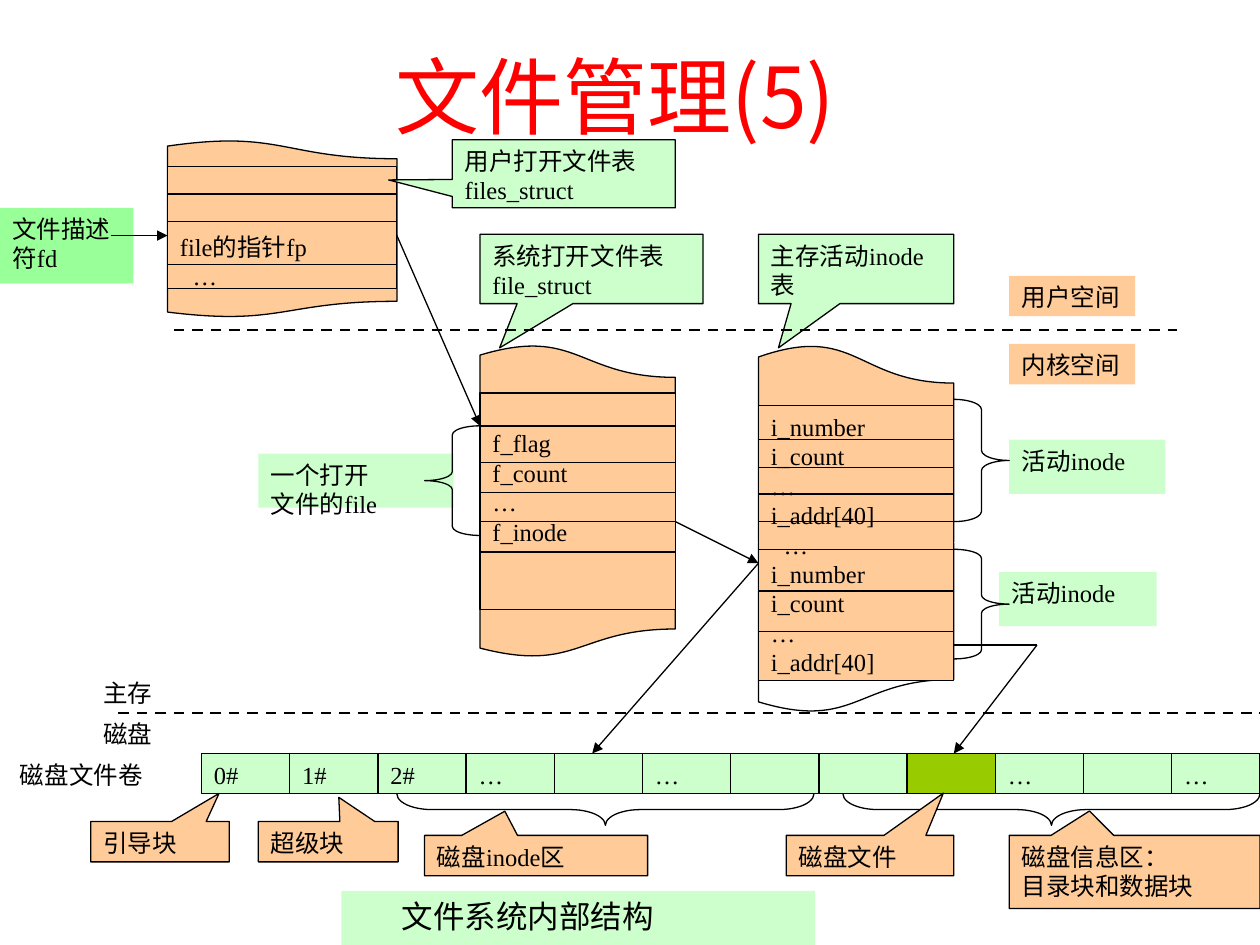
from lxml import etree
from pptx import Presentation
from pptx.dml.color import RGBColor
from pptx.enum.dml import MSO_LINE
from pptx.enum.shapes import MSO_CONNECTOR, MSO_SHAPE
from pptx.enum.text import MSO_ANCHOR, PP_ALIGN
from pptx.oxml.ns import qn
from pptx.util import Inches, Pt

RECT = MSO_SHAPE.RECTANGLE
WAVE = MSO_SHAPE.FLOWCHART_DOCUMENT
CALLOUT = MSO_SHAPE.RECTANGULAR_CALLOUT
BRACE = MSO_SHAPE.LEFT_BRACE
STRAIGHT = MSO_CONNECTOR.STRAIGHT
DASH = MSO_LINE.DASH
TOP, MIDDLE = MSO_ANCHOR.TOP, MSO_ANCHOR.MIDDLE
LEFT, CENTER, JUSTIFY = PP_ALIGN.LEFT, PP_ALIGN.CENTER, PP_ALIGN.JUSTIFY

SERIF, SANS = "Times New Roman", "Noto Sans CJK SC"
BLACK, WHITE, RED = "000000", "FFFFFF", "FF0000"
ORANGE, MINT, GREEN, OLIVE = "FFCC99", "CCFFCC", "99FF99", "99CC00"

TABLES = [
    dict(x=1.33, w=1.82, top=(1.11, 0.76), bottom=(1.87, 0.65), tail=ORANGE,
         body=(1.32, 0.97), inset=0.52, rules=[1.54, 1.76, 2.1],
         lines=["file的指针fp", "…"], indented=[1]),
    dict(x=6.02, w=1.55, top=(2.73, 1.57), bottom=(4.31, 1.35), tail=WHITE,
         body=(3.22, 2.18), inset=0.05,
         rules=[3.49, 3.71, 3.92, 4.14, 4.36, 4.69, 5.01],
         lines=["i_number", "i_count", "…", "i_addr[40]", "…",
                "i_number", "i_count", "…", "i_addr[40]"], indented=[4]),
    dict(x=3.81, w=1.55, top=(2.73, 1.34), bottom=(4.07, 1.15), tail=ORANGE,
         body=(3.12, 1.72), inset=0.28, rules=[3.38, 3.67, 3.91, 4.14, 4.38],
         lines=["f_flag", "f_count", "…", "f_inode"], indented=[]),
]
LABELS = [
    ("磁盘", 0.72, 5.66, 0.88, 0.32, WHITE),
    ("主存", 0.72, 5.33, 0.88, 0.32, WHITE),
    ("文件描述符fd", 0, 1.65, 1.06, 0.6, GREEN),
    ("用户空间", 8.01, 2.19, 1, 0.32, ORANGE),
    ("内核空间", 8.01, 2.73, 1, 0.32, ORANGE),
    ("一个打开\n文件的file", 2.05, 3.6, 1.55, 0.43, MINT),
    ("活动inode", 7.93, 4.54, 1.25, 0.43, MINT),
    ("活动inode", 8.01, 3.49, 1.24, 0.43, MINT),
    ("磁盘文件卷", 0.06, 5.98, 1.55, 0.32, WHITE),
]
BRACES = [
    (3.37, 3.38, 0.44, 0.87, 0.163, False, 0),
    (7.57, 4.36, 0.44, 0.87, 0.163, True, 0),
    (7.57, 3.17, 0.44, 0.97, 0.183, True, 0),
    (4.68, 4.77, 0.25, 3.31, 1.105, True, 90),
    (8.22, 4.77, 0.25, 3.31, 1.105, True, 90),
]
CALLOUTS = [
    ("用户打开文件表files_struct", 3.59, 1.11, 1.77, 0.54, MINT, (-0.786, 0.09)),
    ("系统打开文件表file_struct", 3.81, 1.86, 1.77, 0.55, MINT, (-0.412, 1.139)),
    ("主存活动inode表", 6.02, 1.86, 1.55, 0.55, MINT, (-0.398, 1.139)),
    ("引导块", 0.72, 6.52, 1.1, 0.32, ORANGE, (0.426, -1.197)),
    ("超级块", 2.05, 6.52, 1.11, 0.32, ORANGE, (0.076, -1.1)),
    ("磁盘inode区", 3.37, 6.63, 1.77, 0.32, ORANGE, (-0.14, -1.1)),
    ("磁盘信息区：\n目录块和数据块", 8.01, 6.63, 1.99, 0.58, ORANGE, (-0.18, -0.834)),
    ("磁盘文件", 6.24, 6.63, 1.33, 0.32, ORANGE, (0.438, -1.549)),
]
ARROWS = [
    (5.36, 4.14, 6.02, 4.47),
    (3.15, 1.87, 3.81, 3.38),
    (0.88, 1.87, 1.33, 1.87),
    (6.02, 4.47, 4.7, 5.98),
    (8.23, 5.12, 7.57, 5.98),
]
BOUNDARIES = [(1.38, 2.62, 9.34, 2.62), (0.94, 5.66, 10, 5.66)]
BLOCKS = ["0#", "1#", "2#", "…", "", "…", "", "", "", "…", "", "…"]
FILE_BLOCK = 8
BLOCK_X, BLOCK_W = 1.6, 0.7

prs = Presentation()
prs.slide_width, prs.slide_height = Inches(10), Inches(7.5)
s = prs.slides.add_slide(prs.slide_layouts[6])


def rgb(color):
    return RGBColor.from_string(color)


def write(sp, text, size=14, color=BLACK, font=SERIF, align=LEFT, anchor=TOP):
    tf = sp.text_frame
    tf.text = text
    tf.word_wrap = True
    tf.vertical_anchor = anchor
    for p in tf.paragraphs:
        p.alignment = align
        if size == 14:
            p.line_spacing = Pt(16.8)
        for r in p.runs:
            r.font.size, r.font.name = Pt(size), font
            r.font.color.rgb = rgb(color)
            ea = etree.SubElement(r.font._element, qn("a:ea"))
            ea.set("typeface", SANS)
    return tf


def shape(kind, x, y, w, h, fill=None, line=None, text="", adj=(), flip=None, **style):
    sp = s.shapes.add_shape(kind, Inches(x), Inches(y), Inches(w), Inches(h))
    sp.shadow.inherit = False
    if fill:
        sp.fill.solid()
        sp.fill.fore_color.rgb = rgb(fill)
    else:
        sp.fill.background()
    if line:
        sp.line.color.rgb = rgb(line)
        sp.line.width = Pt(0.75)
    else:
        sp.line.fill.background()
    for i, value in enumerate(adj):
        sp.adjustments[i] = value
    if flip:
        sp._element.spPr.find(qn("a:xfrm")).set(flip, "1")
    if text:
        write(sp, text, **style)
    return sp


def connect(x1, y1, x2, y2, width=0.75, dash=None, arrow=False):
    c = s.shapes.add_connector(STRAIGHT, Inches(x1), Inches(y1), Inches(x2), Inches(y2))
    c.line.color.rgb = rgb(BLACK)
    c.line.width = Pt(width)
    if dash:
        c.line.dash_style = dash
    if arrow:
        etree.SubElement(c.line._get_or_add_ln(), qn("a:tailEnd")).set("type", "triangle")
    etree.SubElement(c._element.spPr, qn("a:effectLst"))


def table(t):
    x, w = t["x"], t["w"]
    for (y, h), fill, flip in ((t["bottom"], t["tail"], None), (t["top"], ORANGE, "flipV")):
        shape(WAVE, x, y, w, h, fill, BLACK, flip=flip)
    y, h = t["body"]
    sp = shape(RECT, x, y, w, h, ORANGE, BLACK, "\n".join(t["lines"]), align=JUSTIFY)
    tf = sp.text_frame
    tf.margin_top = Inches(t["inset"])
    for i in t["indented"]:
        tf.paragraphs[i]._p.get_or_add_pPr().set("marL", str(Inches(0.1)))
    for rule in t["rules"]:
        connect(x, rule, x + w, rule)


title = s.shapes.add_textbox(Inches(2.3), Inches(0.2), Inches(5.17), Inches(1.1))
write(title, "文件管理(5)", 48, RED, SANS, CENTER, MIDDLE)

for t in TABLES:
    table(t)
for text, x, y, w, h, fill in LABELS:
    shape(RECT, x, y, w, h, fill, text=text)
for x, y, w, h, curve, flipped, turn in BRACES:
    sp = shape(BRACE, x, y, w, h, line=BLACK, adj=(curve, 0.5), flip="flipH" if flipped else None)
    sp.rotation = turn
for i, text in enumerate(BLOCKS):
    fill = OLIVE if i == FILE_BLOCK else MINT
    shape(RECT, BLOCK_X + i * BLOCK_W, 5.98, BLOCK_W, 0.32, fill, BLACK, text)
for text, x, y, w, h, fill, tip in CALLOUTS:
    shape(CALLOUT, x, y, w, h, fill, BLACK, text, tip)
for ends in BOUNDARIES:
    connect(*ends, width=1.5, dash=DASH)
for ends in ARROWS:
    connect(*ends, arrow=True)
connect(7.57, 5.12, 8.23, 5.12)

caption = shape(RECT, 2.71, 7.07, 3.76, 0.43, MINT, text="文件系统内部结构", size=18)
caption.text_frame.margin_left = Inches(0.48)

prs.save("out.pptx")
